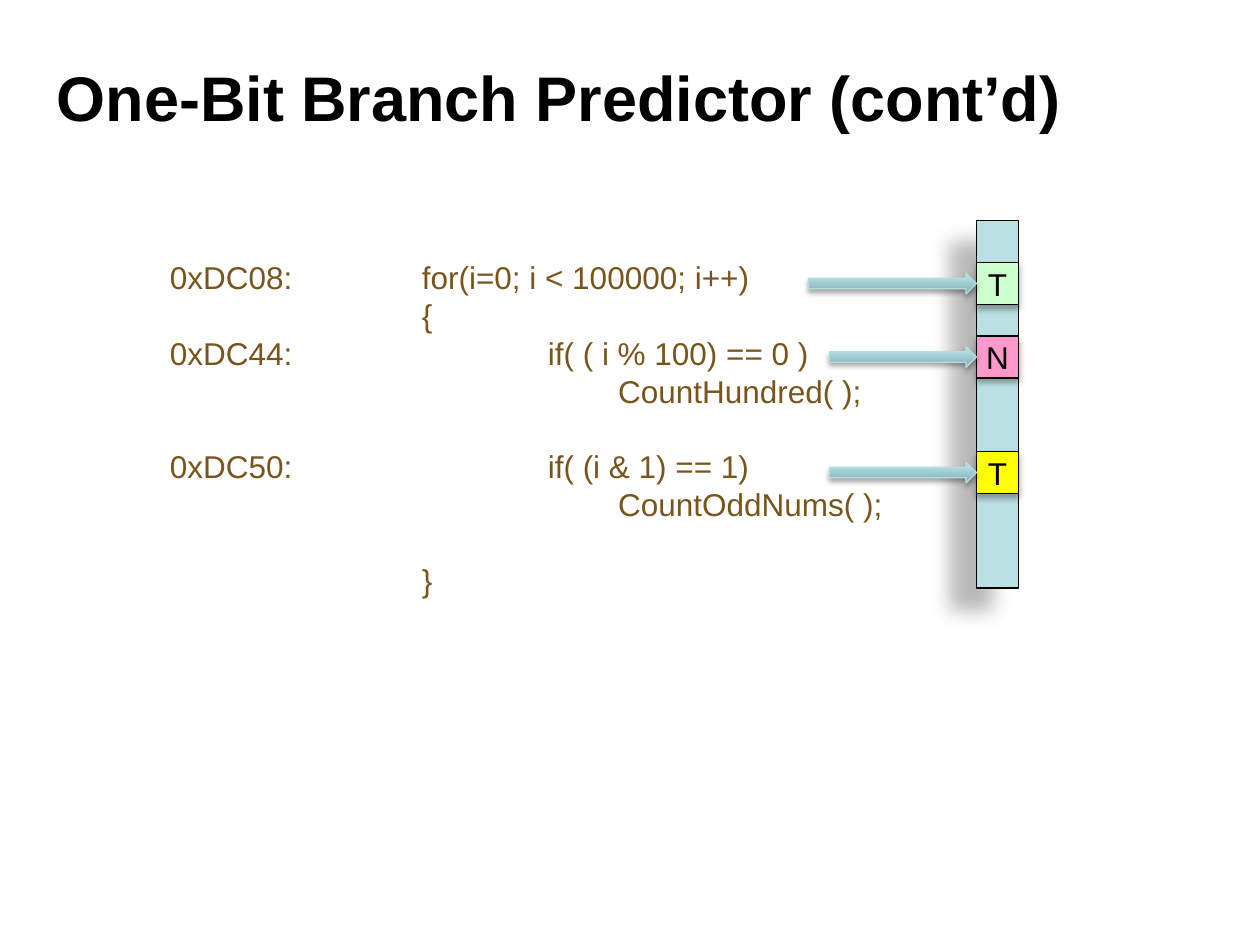
from copy import deepcopy
from typing import NamedTuple

from lxml.etree import SubElement
from pptx import Presentation
from pptx.dml.color import RGBColor
from pptx.enum.shapes import MSO_SHAPE as Form
from pptx.enum.text import MSO_ANCHOR as Anchor, MSO_AUTO_SIZE as Fit, PP_ALIGN as Align
from pptx.oxml.ns import qn
from pptx.util import Emu, Pt

FACE = "Arial"
PITCH = Pt(21.6)
CELL = 40
LEFT = 930  # left side of the table of bits
FADE = [(0, "87ABAE"), (0.8, "AFDEE2"), (1, "AFE0E4")]


class Shade(NamedTuple):
    alpha: int
    blur: float
    dist: float
    angle: int


class Line(NamedTuple):
    addr: str
    code: str
    left: int
    gap: bool = False


class Bit(NamedTuple):
    mark: str
    top: int
    fill: str
    tail: int  # left end of its arrow


LINES = [
    Line("0xDC08:", "for(i=0; i < 100000; i++)", 240),
    Line("", "{", 240),
    Line("0xDC44:", "if( ( i % 100) == 0 )", 360),
    Line("", "CountHundred( );", 427),
    Line("0xDC50:", "if( (i & 1) == 1)", 360, True),
    Line("", "CountOddNums( );", 427),
    Line("", "}", 240, True),
]
BITS = [
    Bit("T", 250, "CCFFCC", 770),
    Bit("N", 320, "FF99CC", 790),
    Bit("T", 430, "FFFF00", 790),
]


def px(n: int) -> Emu:
    return Emu(n * 7620)  # 120 px to the inch


def box(*lens: int) -> list[Emu]:
    return [px(n) for n in lens]


def color(code: str) -> RGBColor:
    return RGBColor.from_string(code)


def style(font, size: int, code: str, bold: bool = False) -> None:
    font.name, font.size, font.bold = FACE, Pt(size), bold
    font.color.rgb = color(code)


def draw(form, lens: list[Emu], edge: str, shade: Shade):
    """Add a shape with a thin outline and a soft shadow."""
    shape = slide.shapes.add_shape(form, *lens)
    shape.line.color.rgb = color(edge)
    shape.line.width = Pt(0.75)
    shape.shadow.inherit = False
    effect = shape._element.spPr.find(qn("a:effectLst"))
    outer = SubElement(effect, qn("a:outerShdw"), blurRad=str(Pt(shade.blur)),
                       dist=str(Pt(shade.dist)), dir=str(shade.angle * 60000),
                       algn="ctr", rotWithShape="0")
    tint = SubElement(outer, qn("a:srgbClr"), val="000000")
    SubElement(tint, qn("a:alpha"), val=str(shade.alpha * 1000))
    return shape


def block(top: int, high: int, fill: str, shade: Shade):
    shape = draw(Form.RECTANGLE, box(LEFT, top, CELL, high), "000000", shade)
    shape.fill.solid()
    shape.fill.fore_color.rgb = color(fill)
    return shape


def cell(bit: Bit) -> None:
    shape = block(bit.top, CELL, bit.fill, Shade(32, 3.5, 2.2, 90))
    frame = shape.text_frame
    frame.word_wrap = False
    frame.vertical_anchor = Anchor.MIDDLE
    para = frame.paragraphs[0]
    para.text, para.alignment = bit.mark, Align.CENTER
    style(para.font, 18, "000000")


def arrow(bit: Bit) -> None:
    lens = box(bit.tail, bit.top + CELL // 4, LEFT - bit.tail, CELL // 2)
    shape = draw(Form.RIGHT_ARROW, lens, "B6DCDF", Shade(35, 3.1, 1.8, 90))
    shape.fill.gradient()
    shape.fill.gradient_angle = 90
    # The default gradient has two stops; a third is needed
    stops = shape._element.spPr.find(qn("a:gradFill")).find(qn("a:gsLst"))
    stops.append(deepcopy(stops[-1]))
    for stop, (pos, code) in zip(shape.fill.gradient_stops, FADE):
        stop.position, stop.color.rgb = pos, color(code)


def write(para, line: Line) -> None:
    """Code sits at a tab stop after an address, else at an indent."""
    props = para._p.get_or_add_pPr()
    if line.addr:
        para.text = f"{line.addr}\t{line.code}"
        tabs = SubElement(props, qn("a:tabLst"))
        SubElement(tabs, qn("a:tab"), pos=str(px(line.left)), algn="l")
    else:
        para.text = line.code
        props.set("marL", str(px(line.left)))
        props.set("indent", "0")
    para.line_spacing = PITCH
    para.space_before = PITCH if line.gap else Pt(0)
    style(para.font, 18, "79551B")


deck = Presentation()
deck.slide_width, deck.slide_height = box(1200, 900)
slide = deck.slides.add_slide(deck.slide_layouts[5])

# Title
title = slide.shapes.title
title.left, title.top, title.width, title.height = box(42, 42, 1080, 100)
title.text_frame.vertical_anchor = Anchor.MIDDLE
head = title.text_frame.paragraphs[0]
head.text, head.alignment = "One-Bit Branch Predictor (cont’d)", Align.LEFT
style(head.font, 36, "000000", True)

# Code listing
frame = slide.shapes.add_textbox(*box(150, 240, 790, 336)).text_frame
frame.word_wrap = True
frame.auto_size = Fit.SHAPE_TO_FIT_TEXT
for i, line in enumerate(LINES):
    write(frame.add_paragraph() if i else frame.paragraphs[0], line)

# Predictor table with its bits, then the arrows into it
block(210, 350, "BBE0E3", Shade(28, 11.8, 19.7, 141))
for bit in BITS:
    cell(bit)
for bit in BITS:
    arrow(bit)

deck.save("out.pptx")
